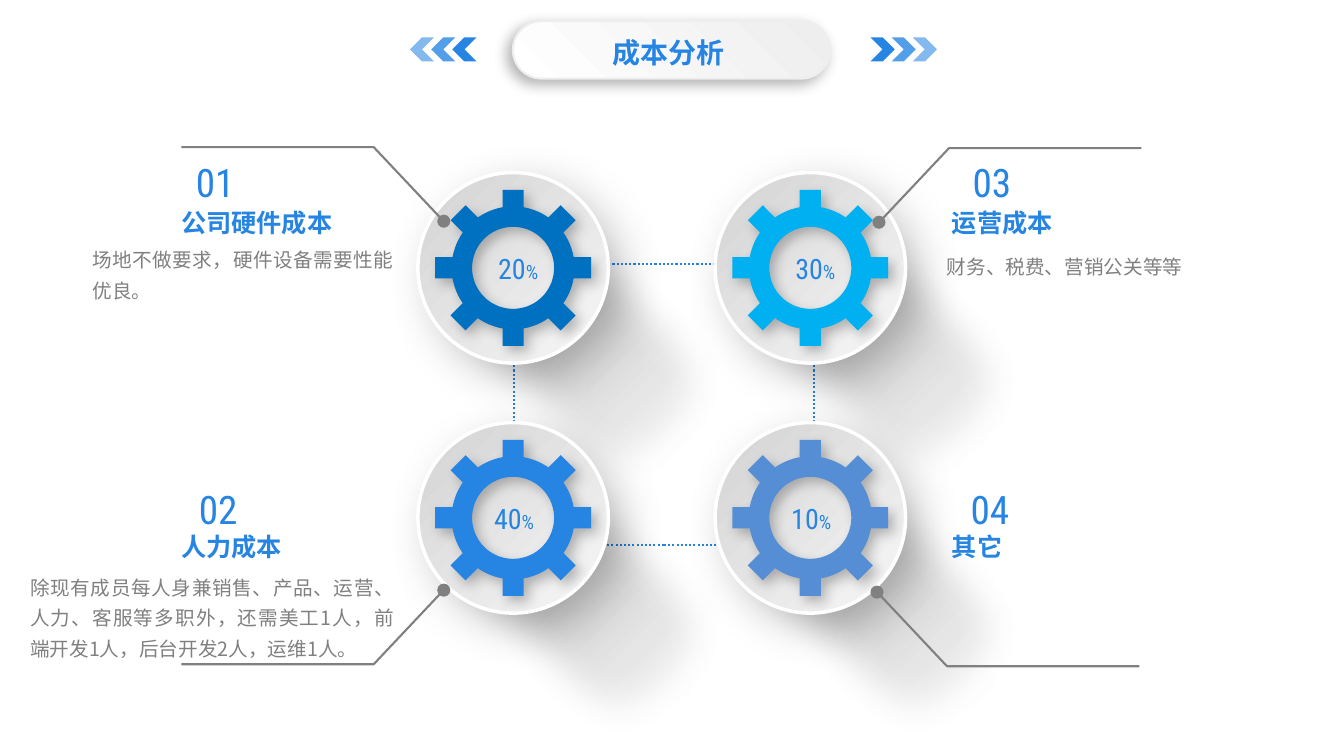
from collections import namedtuple
from math import asin, cos, pi, sin, sqrt

from lxml.etree import SubElement
from pptx import Presentation
from pptx.dml.color import RGBColor
from pptx.enum.dml import MSO_LINE
from pptx.enum.shapes import MSO_SHAPE as SHAPE
from pptx.enum.text import MSO_ANCHOR as ANCHOR, MSO_AUTO_SIZE as AUTO, PP_ALIGN as ALIGN
from pptx.oxml.ns import qn
from pptx.util import Inches, Pt

COLORS = {"blue": "2684E2", "deep": "0070C0", "sky": "00B0F0", "soft": "558ED5",
          "grey": "808080", "pale": "EEEEEE", "white": "FFFFFF", "black": "000000",
          "disc_dark": "D3D3D3", "disc_light": "F7F7F7",
          "fade": "6C6C6C", "fade_end": "D8D8D8"}
CJK, CONDENSED = "Noto Sans CJK SC", "Roboto Condensed"

# The grid has ten columns and ten rows to the inch
COLS, ROWS = 133.4, 75
GEAR_X, GEAR_Y, STEP_X, STEP_Y = 50.93, 26.57, 29.5, 24.8

# body_box is (left, top, width, height); dot is the centre of the callout's dot
Cost = namedtuple("Cost", "col row color percent number number_x heading body body_box dot")
COSTS = [
    Cost(0, 0, "deep", "20", "01", 16.9, "公司硬件成本",
         "场地不做要求，硬件设备需要性能优良。", (8.2, 23.4, 31.8, 7.1), (44.05, 21.95)),
    Cost(1, 0, "sky", "30", "03", 94, "运营成本",
         "财务、税费、营销公关等等", (93, 24.1, 31.8, 4.1), (87.25, 22.05)),
    Cost(0, 1, "blue", "40", "02", 17.2, "人力成本",
         "除现有成员每人身兼销售、产品、运营、人力、客服等多职外，还需美工1人，"
         "前端开发1人，后台开发2人，运维1人。", (2, 55.9, 38.1, 13.2), (44.05, 58.55)),
    Cost(1, 1, "soft", "10", "04", 93.8, "其它", None, None, (87.05, 58.75)),
]


def grid(*cells):
    return [Inches(cell / 10) for cell in cells]


def rgb(name):
    return RGBColor.from_string(COLORS[name])


def set_line(sp, color=None, width=1.5):
    if color:
        sp.line.color.rgb = rgb(color)
        sp.line.width = Pt(width)
    else:
        sp.line.fill.background()


def set_fill(sp, color, alpha=100):
    sp.fill.solid()
    sp.fill.fore_color.rgb = rgb(color)
    if alpha < 100:
        clr = sp._element.spPr.find(".//" + qn("a:srgbClr"))
        SubElement(clr, qn("a:alpha"), val=str(alpha * 1000))


def set_gradient(sp, stops, angle):
    sp.fill.gradient()
    grad = sp._element.spPr.find(qn("a:gradFill"))
    for child in list(grad):
        grad.remove(child)
    stop_list = SubElement(grad, qn("a:gsLst"))
    for pos, color, alpha in stops:
        gs = SubElement(stop_list, qn("a:gs"), pos=str(pos * 1000))
        clr = SubElement(gs, qn("a:srgbClr"), val=COLORS[color])
        SubElement(clr, qn("a:alpha"), val=str(alpha * 1000))
    SubElement(grad, qn("a:lin"), ang=str(angle * 60000), scaled="0")


def add_effect(sp, tag, **attrs):
    effects = sp._element.spPr.find(qn("a:effectLst"))
    return SubElement(effects, qn(tag), **{key: str(val) for key, val in attrs.items()})


def add_shadow(sp, alpha, blur, dist, angle):
    shadow = add_effect(sp, "a:outerShdw", blurRad=Pt(blur), dist=Pt(dist),
                        dir=angle * 60000, algn="ctr", rotWithShape=0)
    clr = SubElement(shadow, qn("a:srgbClr"), val=COLORS["black"])
    SubElement(clr, qn("a:alpha"), val=str(alpha * 1000))


def add_preset(shapes, kind, box, rotation=0):
    sp = shapes.add_shape(kind, *grid(*box))
    sp.shadow.inherit = False
    sp.rotation = rotation
    if kind == SHAPE.ROUNDED_RECTANGLE:
        sp.adjustments[0] = 0.5
    set_line(sp)
    return sp


def add_outline(shapes, contours, close=True):
    builder = shapes.build_freeform(*grid(*contours[0][0]))
    for i, points in enumerate(contours):
        if i:
            builder.move_to(*grid(*points[0]))
        builder.add_line_segments([grid(*pt) for pt in points[1:]], close=close)
    sp = builder.convert_to_shape()
    sp.shadow.inherit = False
    return sp


def write(tf, runs, color, font, bold=False, align=ALIGN.LEFT, spacing=None):
    tf.word_wrap = True
    tf.auto_size = AUTO.SHAPE_TO_FIT_TEXT
    p = tf.paragraphs[0]
    p.alignment = align
    p.line_spacing = spacing
    for text, size in runs:
        r = p.add_run()
        r.text = text
        r.font.size, r.font.bold, r.font.name = Pt(size), bold, font
        r.font.color.rgb = rgb(color)
        SubElement(r._r.get_or_add_rPr(), qn("a:ea"), typeface=CJK)


def add_text(slide, box, runs, color="blue", font=CJK, **style):
    write(slide.shapes.add_textbox(*grid(*box)).text_frame, runs, color, font, **style)


def gear_contours(cx, cy, tip=7.73, body=6.1, hole=4.07, half=1.05, teeth=8):
    def polar(radius, angle):
        return cx + radius * cos(angle), cy + radius * sin(angle)

    pitch, edge = 2 * pi / teeth, asin(half / body)
    tip_edge, tip_radius = asin(half / sqrt(tip ** 2 + half ** 2)), sqrt(tip ** 2 + half ** 2)
    rim = []
    for tooth in range(teeth):
        mid = tooth * pitch
        rim += [polar(body, mid - edge), polar(tip_radius, mid - tip_edge),
                polar(tip_radius, mid + tip_edge)]
        rim += [polar(body, mid + edge + (pitch - 2 * edge) * i / 6) for i in range(6)]
    bore = [polar(hole, -2 * pi * i / 72) for i in range(72)]
    return [rim, bore]


def add_gear(slide, cost):
    cx, cy = GEAR_X + cost.col * STEP_X, GEAR_Y + cost.row * STEP_Y
    shapes = slide.shapes.add_group_shape().shapes
    # Long soft shade
    shade = add_preset(shapes, SHAPE.ROUNDED_RECTANGLE, (cx - 11.9, cy - 4.7, 36, 22.8), 46)
    set_gradient(shade, [(0, "black", 61), (47, "black", 19),
                         (76, "fade", 10), (100, "fade_end", 0)], 0)
    add_effect(shade, "a:softEdge", rad=Pt(25))
    # Disc
    disc = add_preset(shapes, SHAPE.OVAL, (cx - 9.45, cy - 9.45, 18.9, 18.9))
    set_gradient(disc, [(0, "disc_dark", 100), (100, "disc_light", 100)], 45)
    set_line(disc, "white", 2.5)
    add_shadow(disc, 22, 32, 13, 45)
    # Toothed wheel
    wheel = add_outline(shapes, gear_contours(cx, cy))
    wheel.rotation = 315
    set_fill(wheel, cost.color)
    set_line(wheel)
    add_shadow(wheel, 26, 9, 5, 45)


def add_percent(slide, cost):
    left = GEAR_X + cost.col * STEP_X - (6.7 if cost.row else 6.3)
    top = GEAR_Y + cost.row * STEP_Y - 2.1
    add_text(slide, (left, top, 13.6, 4.4), [(cost.percent, 20), ("%", 14)],
             font=CONDENSED, align=ALIGN.CENTER)


def add_callout(slide, cost):
    x, y = cost.dot
    right, down = 2 * cost.col - 1, 2 * cost.row - 1
    shapes = slide.shapes.add_group_shape().shapes
    set_fill(add_preset(shapes, SHAPE.OVAL, (x - 0.65, y - 0.65, 1.3, 1.3)), "grey")
    x, y = x + 0.35 * right, y + 0.35 * down
    bend_x, end_y = x + 6.6 * right, y + 7 * down
    leader = add_outline(shapes, [[(x, y), (bend_x, end_y), (bend_x + 19.1 * right, end_y)]],
                         close=False)
    leader.fill.background()
    set_line(leader, "grey")


def add_label(slide, cost):
    add_text(slide, (cost.number_x, 47.7 if cost.row else 15.2, 8.9, 5.7),
             [(cost.number, 28)], font=CONDENSED, align=ALIGN.CENTER)
    add_text(slide, (93.5 if cost.col else 17, 52.2 if cost.row else 20.1, 19.3, 4),
             [(cost.heading, 18)], bold=True)
    if cost.body:
        add_text(slide, cost.body_box, [(cost.body, 14)], "grey",
                 align=ALIGN.JUSTIFY, spacing=1.3)


def add_header(slide):
    # Pill behind the title
    pill = add_preset(slide.shapes, SHAPE.ROUNDED_RECTANGLE, (50.9, 2.1, 31.5, 5.7))
    set_gradient(pill, [(0, "pale", 100), (100, "white", 100)], 135)
    set_line(pill, "pale")
    add_shadow(pill, 30, 10, 5, 135)
    # Chevrons fading outwards on both sides
    for start, step, rotation in ((86.4, 2.1, 0), (44.9, -2.1, 180)):
        shapes = slide.shapes.add_group_shape().shapes
        for i, alpha in enumerate((100, 79, 57)):
            box = (start + i * step, 3.7, 2.4, 2.4)
            set_fill(add_preset(shapes, SHAPE.CHEVRON, box, rotation), "blue", alpha)
    # Title, brought in front of the pill
    title = slide.shapes.title
    title.left, title.top, title.width, title.height = grid(54.9, 3.1, 23, 4.1)
    tf = title.text_frame
    tf.margin_left, tf.margin_top, tf.margin_right, tf.margin_bottom = grid(0.7, 0.4, 0.7, 0.4)
    tf.vertical_anchor = ANCHOR.TOP
    write(tf, [("成本分析", 20)], "blue", CONDENSED, bold=True, align=ALIGN.CENTER)
    slide.shapes._spTree.append(title._element)


def main():
    prs = Presentation()
    prs.slide_width, prs.slide_height = grid(COLS, ROWS)
    slide = prs.slides.add_slide(prs.slide_layouts[5])
    add_header(slide)
    # Dotted frame linking the gears
    frame = add_preset(slide.shapes, SHAPE.RECTANGLE, (51, 26.2, 29.8, 27.9))
    frame.fill.background()
    set_line(frame, "blue")
    frame.line.dash_style = MSO_LINE.ROUND_DOT
    # Gears first, then everything that lies on top of them
    for add_part in (add_gear, add_percent, add_callout, add_label):
        for cost in COSTS:
            add_part(slide, cost)
    prs.save("out.pptx")


if __name__ == "__main__":
    main()
